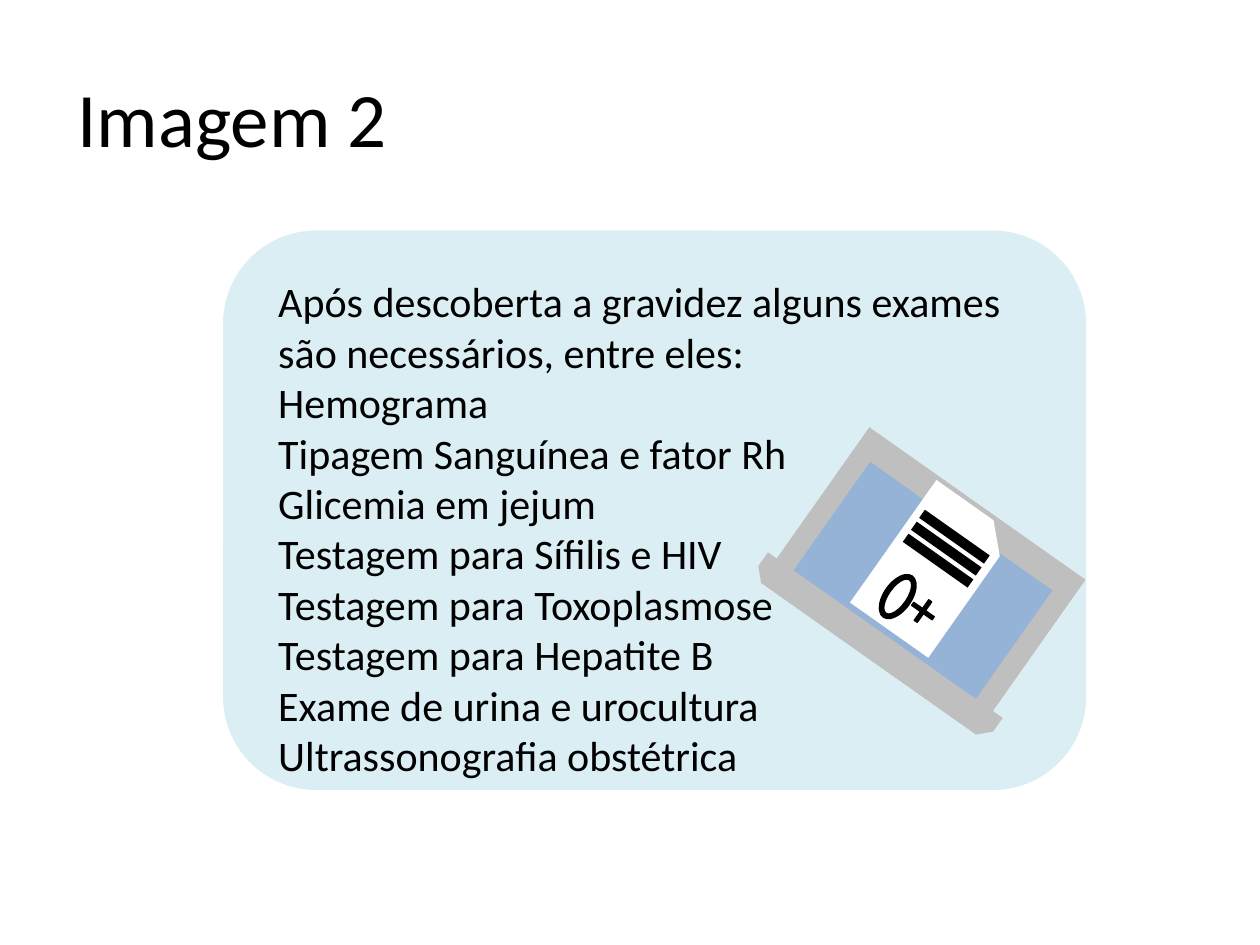
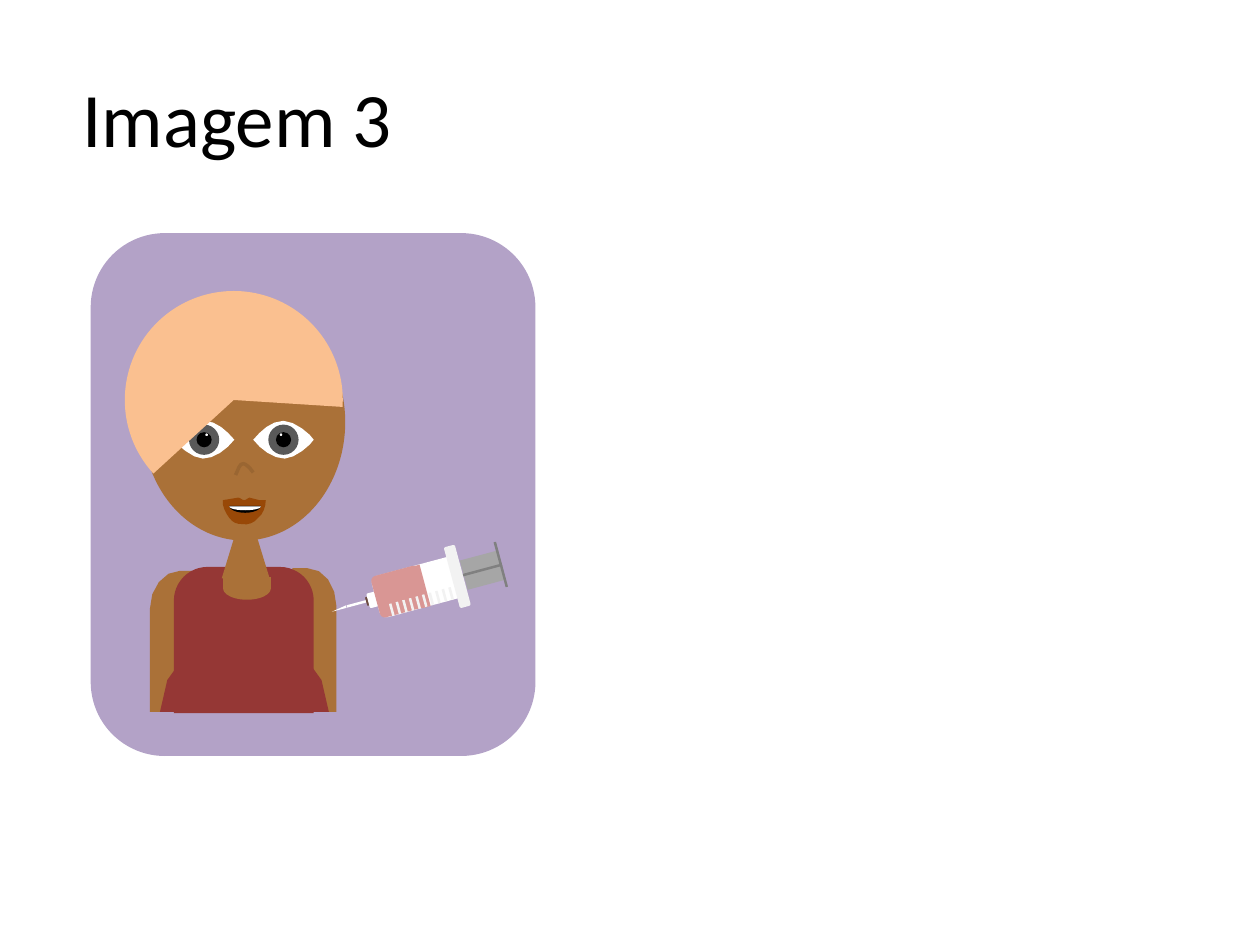
"""Build two slides on prenatal care: the exam list with a blood bag, and a woman being vaccinated."""
from pptx import Presentation
from pptx import util as u
from pptx.dml.color import RGBColor
from pptx.enum import shapes, text

FONT = "Calibri"
UNITS = 1000
CURVE_STEPS = 4
COLORS = {
    "black": "000000", "white": "FFFFFF", "panel": "DBEEF4", "bag": "BFBFBF", "fluid": "95B3D7",
    "lilac": "B3A2C7", "skin": "AA7138", "nose": "9A6632", "lips": "984807", "hair": "FAC090",
    "blouse": "953735", "iris": "595959", "hub": "6D4C41", "vaccine": "D99694",
    "plunger": "A6A6A6", "rod": "808080", "flange": "F2F2F2",
}
COLORS = {name: RGBColor.from_string(value) for name, value in COLORS.items()}
M = shapes.MSO_SHAPE


def add_part(parent, kind, box, color, rot=0, adj=()):
    sp = parent.shapes.add_shape(kind, *[u.Inches(v) for v in box])
    sp.shadow.inherit = False
    sp.fill.solid()
    sp.fill.fore_color.rgb = COLORS[color]
    sp.line.fill.background()
    sp.rotation = rot
    for i, value in enumerate(adj):
        sp.adjustments[i] = value


def add_outline(parent, start, steps, color, stroke=0):
    points = [start]
    for step in steps:
        if len(step) == 2:
            points.append(step)
            continue
        (x0, y0), (x1, y1, x2, y2, x3, y3) = points[-1], step
        for i in range(1, CURVE_STEPS + 1):
            t = i / CURVE_STEPS
            a, b, c, d = (1 - t) ** 3, 3 * t * (1 - t) ** 2, 3 * t * t * (1 - t), t ** 3
            points.append((a * x0 + b * x1 + c * x2 + d * x3, a * y0 + b * y1 + c * y2 + d * y3))
    points = [(x * UNITS, y * UNITS) for x, y in points]
    builder = parent.shapes.build_freeform(*points[0], scale=u.Inches(1) / UNITS)
    builder.add_line_segments(points[1:], close=not stroke)
    sp = builder.convert_to_shape()
    sp.shadow.inherit = False
    if stroke:
        sp.fill.background()
        sp.line.color.rgb = COLORS[color]
        sp.line.width = u.Pt(stroke)
    else:
        sp.fill.solid()
        sp.fill.fore_color.rgb = COLORS[color]
        sp.line.fill.background()


prs = Presentation()
prs.slide_width, prs.slide_height = u.Inches(10), u.Inches(7.5)

slides = []
for title, width in [("Imagem 2", 2.69), ("Imagem 3", 2.77)]:
    s = prs.slides.add_slide(prs.slide_layouts[6])
    tf = s.shapes.add_textbox(u.Inches(0.5), u.Inches(0.3), u.Inches(width), u.Inches(1.25)).text_frame
    tf.word_wrap = True
    tf.vertical_anchor = text.MSO_ANCHOR.MIDDLE
    tf.text = title
    p = tf.paragraphs[0]
    p.alignment = text.PP_ALIGN.CENTER
    r = p.runs[0]
    r.font.name, r.font.size, r.font.color.rgb = FONT, u.Pt(44), COLORS["black"]
    slides.append(s)
exams, vaccination = slides

add_part(exams, M.ROUNDED_RECTANGLE, (1.77, 1.83, 6.85, 4.44), "panel")
tf = exams.shapes.add_textbox(u.Inches(2.11), u.Inches(2.14), u.Inches(6.35), u.Inches(4.75)).text_frame
tf.word_wrap = True
tf.text = "\n".join([
    "Após descoberta a gravidez alguns exames são necessários, entre eles:",
    "Hemograma",
    "Tipagem Sanguínea e fator Rh",
    "Glicemia em jejum",
    "Testagem para Sífilis e HIV",
    "Testagem para Toxoplasmose",
    "Testagem para Hepatite B",
    "Exame de urina e urocultura",
    "Ultrassonografia obstétrica",
])
for p in tf.paragraphs:
    r = p.runs[0]
    r.font.name, r.font.size, r.font.color.rgb = FONT, u.Pt(24), COLORS["black"]

TILT = 35.2
bag = exams.shapes.add_group_shape()
add_part(bag, M.RECTANGLE, (6.31, 3.87, 2.1, 1.38), "bag", TILT)
add_part(bag, M.RECTANGLE, (6.41, 4.07, 1.77, 1.16), "fluid", TILT)
add_part(bag, M.SNIP_1_RECTANGLE, (7.02, 3.92, 0.76, 1.19), "white", TILT, [0.27])
add_part(bag, M.DONUT, (7.01, 4.53, 0.23, 0.41), "black", TILT, [0.21])
for turn in (0, 90):
    add_part(bag, M.ROUNDED_RECTANGLE, (7.22, 4.83, 0.21, 0.04), "black", TILT + turn)
for i in range(3):
    add_part(bag, M.RECTANGLE, (7.26 - 0.13 * i / 2, 4.22 + 0.19 * i / 2, 0.63, 0.08), "black", TILT)
add_part(bag, M.SNIP_2_SAME_RECTANGLE, (5.82, 5.02, 2.28, 0.23), "bag", TILT, [0, 0.42])

add_part(vaccination, M.ROUNDED_RECTANGLE, (0.72, 1.85, 3.53, 4.15), "lilac")
woman = vaccination.shapes.add_group_shape()
add_outline(woman, (2.44, 4.51), [(2.32, 4.51), (2.32, 5.65), (2.67, 5.65), (2.67, 4.81),
                                  (2.67, 4.65, 2.57, 4.51, 2.44, 4.51)], "skin")
add_outline(woman, (1.43, 4.53), [(1.55, 4.53), (1.55, 5.65), (1.19, 5.65), (1.19, 4.83),
                                  (1.19, 4.67, 1.3, 4.53, 1.43, 4.53)], "skin")
add_part(woman, M.ROUND_2_SAME_RECTANGLE, (1.38, 4.5, 1.11, 1.16), "blouse", adj=[0.24, 0])
add_part(woman, M.TRAPEZOID, (1.76, 4.08, 0.38, 0.51), "skin", adj=[0.41])
add_part(woman, M.OVAL, (1.13, 2.41, 1.61, 1.88), "skin")

for eye_x, side in [(1.62, 1), (2.25, -1)]:
    curves = [
        (-0.22, 3.45, -0.09, 3.34, 0, 3.34),
        (0.1, 3.34, 0.18, 3.42, 0.24, 3.49),
        (0.18, 3.57, 0.08, 3.64, -0.01, 3.64),
        (-0.09, 3.64, -0.22, 3.53, -0.24, 3.49),
    ]
    curves = [[v if i % 2 else eye_x + side * v for i, v in enumerate(c)] for c in curves]
    add_outline(woman, (eye_x - side * 0.24, 3.49), curves, "white")
    for dx, y, size, color in [(0, 3.49, 0.24, "iris"), (0, 3.49, 0.12, "black"), (0.02, 3.45, 0.02, "white")]:
        add_part(woman, M.OVAL, (eye_x + side * dx - size / 2, y - size / 2, size, size), color)

add_outline(woman, (1.87, 3.77), [(1.89, 3.73, 1.9, 3.68, 1.93, 3.68),
                                  (1.95, 3.68, 1.98, 3.71, 2.01, 3.75)], "nose", 2)
add_outline(woman, (1.77, 3.97), [
    (1.83, 3.96), (1.89, 3.95),
    (1.91, 3.95, 1.92, 3.97, 1.94, 3.97),
    (1.95, 3.97, 1.96, 3.96, 1.98, 3.95),
    (2.02, 3.96), (2.06, 3.97), (2.11, 3.97),
    (2.11, 4.02, 2.09, 4.08, 2.05, 4.11),
    (2.02, 4.15, 1.97, 4.17, 1.92, 4.16),
    (1.88, 4.16, 1.85, 4.15, 1.82, 4.11),
    (1.79, 4.07, 1.76, 4.01, 1.77, 3.97),
], "lips")
for y, height, color in [(3.96, 0.11, "black"), (3.99, 0.06, "white")]:
    add_part(woman, M.PIE, (1.82, y, 0.25, height), color, adj=[0, 108])
add_part(woman, M.FLOWCHART_DELAY, (1.87, 4.48, 0.18, 0.38), "skin", 90)
add_part(woman, M.PIE, (0.99, 2.31, 1.73, 1.73), "hair", 90, [28.52, 164.2])
add_outline(woman, (1.94, 5.01), [(2.3, 5.01, 2.6, 5.29, 2.61, 5.65), (1.27, 5.65),
                                  (1.28, 5.29, 1.58, 5.01, 1.94, 5.01)], "blouse")

LEAN = 75
syringe = vaccination.shapes.add_group_shape()
add_part(syringe, M.RECTANGLE, (2.83, 4.7, 0.02, 0.18), "white", LEAN)
add_part(syringe, M.ROUNDED_RECTANGLE, (2.89, 4.75, 0.07, 0.04), "hub", LEAN)
add_part(syringe, M.ROUNDED_RECTANGLE, (2.9, 4.72, 0.12, 0.08), "white", LEAN)
add_part(syringe, M.ROUNDED_RECTANGLE, (3.14, 4.32, 0.34, 0.68), "white", LEAN)
add_part(syringe, M.RECTANGLE, (3.17, 4.62, 0.34, 0.07), "vaccine", LEAN)
add_part(syringe, M.ROUNDED_RECTANGLE, (3, 4.5, 0.34, 0.39), "vaccine", LEAN, [0.12])
add_part(syringe, M.ROUNDED_RECTANGLE, (3.71, 4.37, 0.24, 0.31), "plunger", LEAN, [0])
add_part(syringe, M.ROUNDED_RECTANGLE, (3.79, 4.47, 0.37, 0.02), "rod", LEAN)
add_part(syringe, M.ROUNDED_RECTANGLE, (3.62, 4.52, 0.37, 0.02), "rod", LEAN + 270)
add_part(syringe, M.ROUNDED_RECTANGLE, (3.38, 4.53, 0.5, 0.09), "flange", LEAN)
for i in range(10):
    add_part(syringe, M.ROUNDED_RECTANGLE, (3.53 - 0.47 * i / 9, 4.7 + 0.13 * i / 9, 0.1, 0.02), "flange", LEAN)
add_part(syringe, M.RIGHT_TRIANGLE, (2.68, 4.77, 0.02, 0.12), "white", LEAN + 180)

prs.save("out.pptx")
